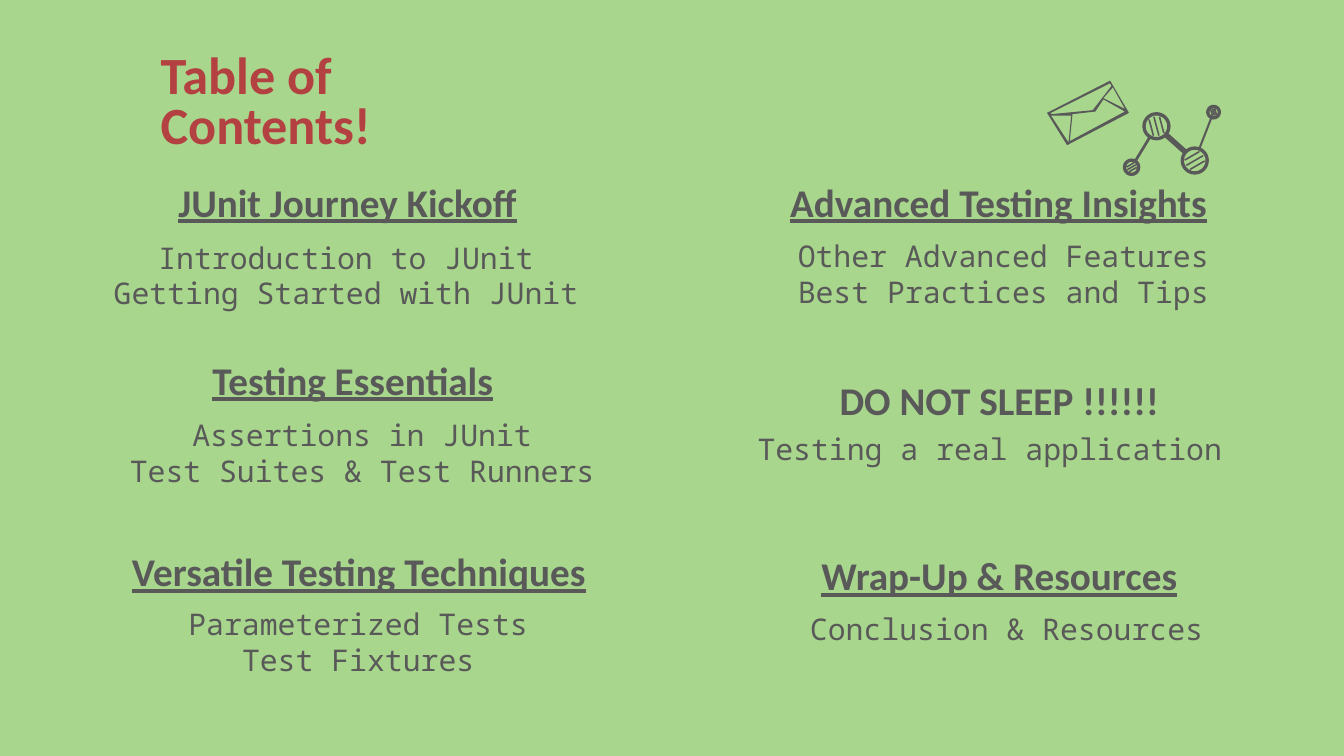
from math import atan2, cos, hypot, pi, radians, sin, sqrt

from pptx import Presentation
from pptx.dml.color import RGBColor
from pptx.enum.text import MSO_ANCHOR as Anchor, MSO_AUTO_SIZE as AutoSize, PP_ALIGN as Align
from pptx.util import Inches, Pt

WIDTH = Inches(10)
HEIGHT = WIDTH * 9 // 16
CELL = WIDTH / 100
COLORS = {"page": "A8D68C", "title": "B44141", "ink": "595959"}
HEADING_ROWS, BODY_ROWS = 5.3, 7.8

TITLE = {"name": "Calibri", "size": Pt(28), "bold": True}
HEADING = {"name": "Calibri", "size": Pt(21), "bold": True, "underline": True}
WARNING = {**HEADING, "underline": False}
BODY = {"name": "Noto Sans Mono", "size": Pt(16), "bold": False}

SECTIONS = [
    ("JUnit Journey Kickoff", HEADING, (9.9, 12.45, 31.9),
     ["Introduction to JUnit", "Getting Started with JUnit"], (7.15, 16.8, 37.2)),
    ("Advanced Testing Insights", HEADING, (56.2, 12.45, 36.2),
     ["Other Advanced Features", "Best Practices and Tips"], (56.55, 16.7, 36.2)),
    ("Testing Essentials", HEADING, (10.3, 25.7, 31.9),
     ["Assertions in JUnit", "Test Suites & Test Runners"], (8.35, 30, 37.2)),
    ("DO NOT SLEEP !!!!!!", WARNING, (56.6, 27.2, 35.5),
     ["Testing a real application"], (54.4, 31.05, 38.5)),
    ("Versatile Testing Techniques", HEADING, (7.1, 39.95, 39.2),
     ["Parameterized Tests", "Test Fixtures"], (8.05, 44.05, 37.2)),
    ("Wrap-Up & Resources", HEADING, (58.4, 40.25, 31.9),
     ["Conclusion & Resources"], (59.2, 44.45, 31.4)),
]

ENVELOPE = [
    [(77.9, 8.4), (82.6, 6), (84, 8.4), (79.4, 10.8)],
    [(82.8, 6.5), (83.7, 8.1), (82.1, 7.3)],
    [(82.6, 6.2), (82.7, 6.4), (81.3, 8.2), (78.2, 8.5), (78.2, 8.4)],
    [(82.1, 7.4), (83.7, 8.3), (79.6, 10.5), (79.8, 8.5), (81.5, 8.3)],
    [(79.7, 8.6), (79.5, 10.6), (78.2, 8.6)],
]
ATOMS = [(84.2, 12.45, 0.65), (86.05, 9.4, 1.05), (88.9, 11.95, 1.05), (90.3, 8.35, 0.55)]
BOND_WIDTHS = [0.2, 0.4, 0.15]
RING, HATCH = 0.25, 0.12


def grid(*cells):
    return [round(cell * CELL) for cell in cells]


def rgb(name):
    return RGBColor.from_string(COLORS[name])


def write_text(box, lines, style, color="ink", align=Align.CENTER, anchor=Anchor.TOP, spacing=1.0):
    frame = box.text_frame
    settings = {"word_wrap": True, "auto_size": AutoSize.NONE, "vertical_anchor": anchor}
    settings.update({f"margin_{side}": Inches(0.1) for side in ("left", "top", "right", "bottom")})
    for key, value in settings.items():
        setattr(frame, key, value)
    for index, line in enumerate(lines):
        para = frame.add_paragraph() if index else frame.paragraphs[0]
        para.alignment, para.line_spacing = align, spacing
        span = para.add_run()
        span.text = line
        span.font.color.rgb = rgb(color)
        for key, value in style.items():
            setattr(span.font, key, value)


def add_title(page):
    box = page.shapes.title
    box.left, box.top, box.width, box.height = grid(10.95, 3.05, 26.3, 6.3)
    write_text(box, ["Table of Contents!"], TITLE, "title", Align.LEFT, spacing=0.8)


def add_section(page, heading, style, heading_at, lines, body_at):
    box = page.shapes.add_textbox(*grid(*heading_at, HEADING_ROWS))
    write_text(box, [heading], style, anchor=Anchor.BOTTOM)
    box = page.shapes.add_textbox(*grid(*body_at, BODY_ROWS))
    write_text(box, lines, BODY)


def add_drawing(page, contours):
    builder = page.shapes.build_freeform(*grid(*contours[0][0]))
    for index, contour in enumerate(contours):
        first, *rest = [grid(*point) for point in contour]
        if index:
            builder.move_to(*first)
        builder.add_line_segments(rest, close=True)
    shape = builder.convert_to_shape()
    shape.shadow.inherit = False
    shape.fill.solid()
    shape.fill.fore_color.rgb = rgb("ink")
    shape.line.fill.background()


def circle(x, y, radius, steps=32):
    angles = [2 * pi * step / steps for step in range(steps)]
    return [(x + radius * cos(angle), y + radius * sin(angle)) for angle in angles]


def bar(x, y, angle, start, end, width):
    corners = [(start, -1), (end, -1), (end, 1), (start, 1)]
    return [(x + along * cos(angle) - side * width / 2 * sin(angle),
             y + along * sin(angle) + side * width / 2 * cos(angle))
            for along, side in corners]


def atom_contours(x, y, radius):
    inner = radius - RING
    contours = [circle(x, y, radius), circle(x, y, inner)]
    tilt = radians(75 if y < 10 else 150)
    for offset in (-0.5, 0, 0.5):
        middle_x = x - offset * inner * sin(tilt)
        middle_y = y + offset * inner * cos(tilt)
        half = 0.9 * inner * sqrt(1 - offset ** 2)
        contours.append(bar(middle_x, middle_y, tilt, -half, half, HATCH))
    return contours


def bond_contour(first, second, width):
    (x1, y1, r1), (x2, y2, r2) = first, second
    length = hypot(x2 - x1, y2 - y1)
    return bar(x1, y1, atan2(y2 - y1, x2 - x1), r1, length - r2, width)


def molecule_contours():
    contours = [contour for atom in ATOMS for contour in atom_contours(*atom)]
    bonds = zip(ATOMS, ATOMS[1:], BOND_WIDTHS)
    return contours + [bond_contour(*bond) for bond in bonds]


def main():
    deck = Presentation()
    deck.slide_width, deck.slide_height = WIDTH, HEIGHT
    page = deck.slides.add_slide(deck.slide_layouts[5])
    page.background.fill.solid()
    page.background.fill.fore_color.rgb = rgb("page")
    add_title(page)
    add_drawing(page, molecule_contours())
    add_drawing(page, ENVELOPE)
    for section in SECTIONS:
        add_section(page, *section)
    deck.save("out.pptx")


if __name__ == "__main__":
    main()
